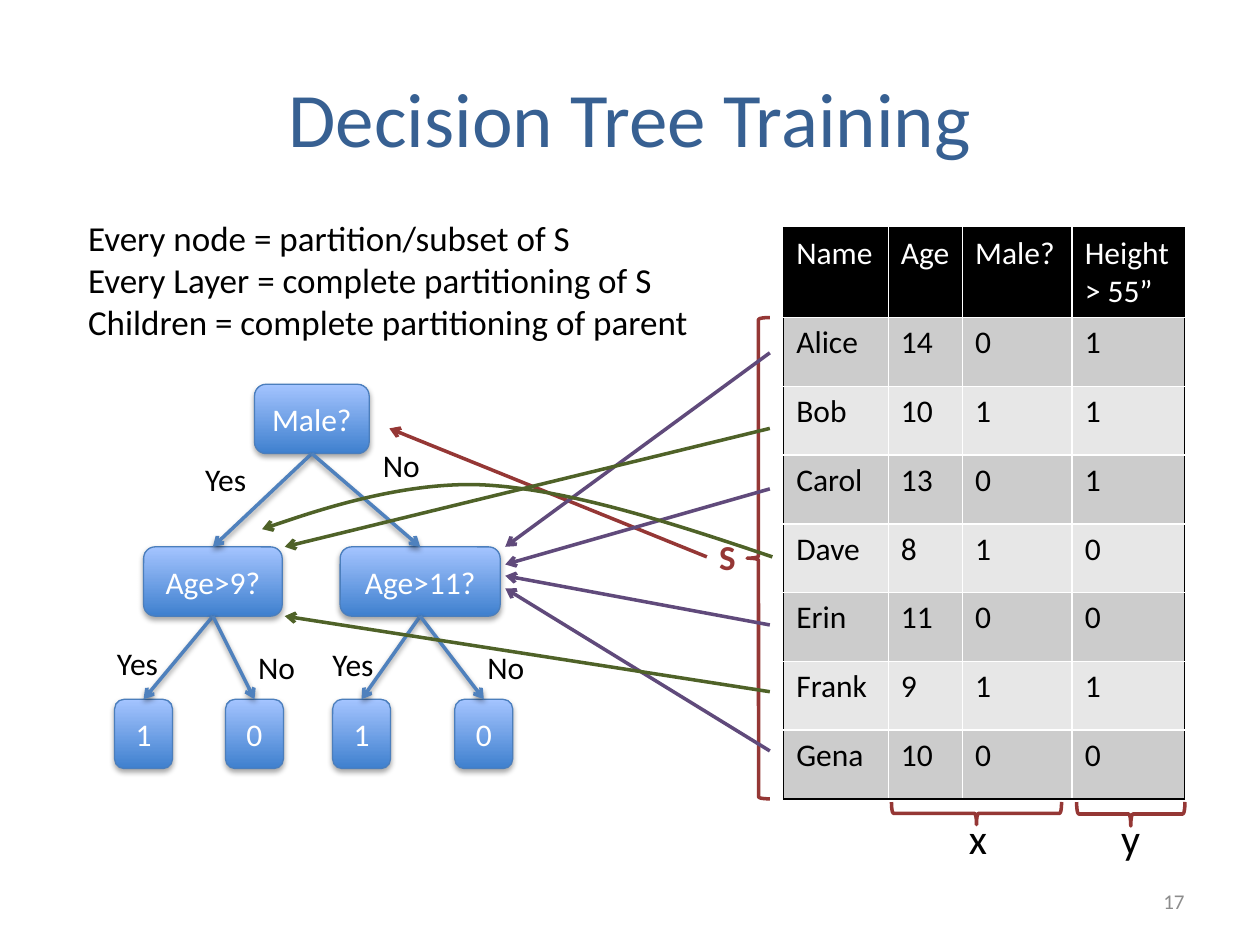
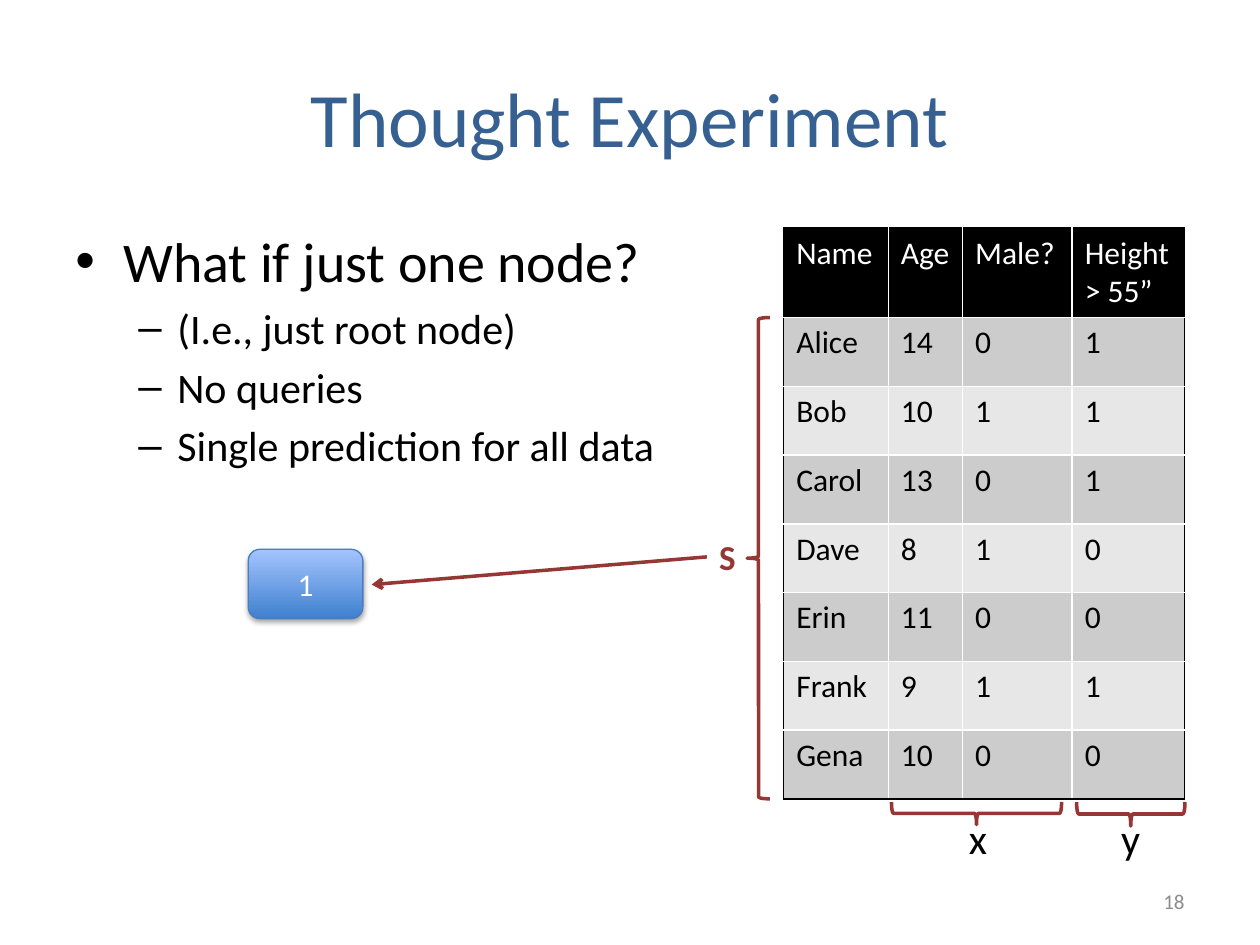
from lxml import etree
from pptx import Presentation
from pptx.dml.color import RGBColor
from pptx.enum.shapes import MSO_CONNECTOR, MSO_SHAPE
from pptx.enum.text import MSO_ANCHOR, MSO_AUTO_SIZE, PP_ALIGN
from pptx.oxml.ns import qn
from pptx.util import Inches, Pt

STRAIGHT = MSO_CONNECTOR.STRAIGHT
ROUNDED, BRACE = MSO_SHAPE.ROUNDED_RECTANGLE, MSO_SHAPE.LEFT_BRACE
TOP, MIDDLE = MSO_ANCHOR.TOP, MSO_ANCHOR.MIDDLE
FIT, FIXED = MSO_AUTO_SIZE.SHAPE_TO_FIT_TEXT, MSO_AUTO_SIZE.NONE
LEFT, CENTER, RIGHT = PP_ALIGN.LEFT, PP_ALIGN.CENTER, PP_ALIGN.RIGHT

BLACK = RGBColor(0x00, 0x00, 0x00)
WHITE = RGBColor(0xFF, 0xFF, 0xFF)
TITLE_BLUE = RGBColor(0x37, 0x60, 0x92)
EDGE_BLUE = RGBColor(0x4F, 0x81, 0xBD)
NODE_LINE = RGBColor(0x4B, 0x7E, 0xBC)
NODE_DARK = RGBColor(0x3F, 0x80, 0xCE)
NODE_LIGHT = RGBColor(0xA4, 0xC4, 0xFF)
RED = RGBColor(0x95, 0x37, 0x35)
PURPLE = RGBColor(0x60, 0x4A, 0x7B)
GREEN = RGBColor(0x4F, 0x62, 0x28)
GREY = RGBColor(0x8C, 0x8C, 0x8C)
BAND_DARK = RGBColor(0xCC, 0xCC, 0xCC)
BAND_LIGHT = RGBColor(0xE7, 0xE7, 0xE7)
FONT = "Calibri"

DATA = [
    ("Name", "Age", "Male?", "Height > 55”"),
    ("Alice", "14", "0", "1"),
    ("Bob", "10", "1", "1"),
    ("Carol", "13", "0", "1"),
    ("Dave", "8", "1", "0"),
    ("Erin", "11", "0", "0"),
    ("Frank", "9", "1", "1"),
    ("Gena", "10", "0", "0"),
]
COLUMN_WIDTHS = (0.83, 0.59, 0.87, 0.89)
TABLE_LEFT, TABLE_TOP, TABLE_HEIGHT, HEADER_HEIGHT = 6.22, 1.81, 4.53, 0.71

BRACES = [
    ((5.93, 2.52, 0.18, 3.82), 0),
    ((7.66, 5.78, 0.18, 1.35), 270),
    ((8.88, 6.03, 0.19, 0.86), 270),
]
BRACE_LABELS = [
    ("S", (5.61, 4.2, 0.33, 0.44), 20, RED, True),
    ("x", (7.59, 6.4, 0.35, 0.5), 24, BLACK, False),
    ("y", (8.8, 6.4, 0.36, 0.5), 24, BLACK, False),
]

FACTS = [
    "Every node = partition/subset of S",
    "Every Layer = complete partitioning of S",
    "Children = complete partitioning of parent",
]
NODE_HEIGHT = 0.55
TREE_NODES = {
    "root": ("Male?", 2.02, 3.05, 0.91),
    "male": ("Age>9?", 1.14, 4.34, 1.1),
    "female": ("Age>11?", 2.7, 4.34, 1.27),
    "male yes": ("1", 0.91, 5.55, 0.46),
    "male no": ("0", 1.79, 5.55, 0.46),
    "female yes": ("1", 2.64, 5.55, 0.46),
    "female no": ("0", 3.61, 5.55, 0.46),
}
TREE_EDGES = [
    ("root", "male", "Yes", 1.53, 3.6),
    ("root", "female", "No", 2.94, 3.49),
    ("male", "male yes", "Yes", 0.83, 5.06),
    ("male", "male no", "No", 1.95, 5.09),
    ("female", "female yes", "Yes", 2.54, 5.07),
    ("female", "female no", "No", 3.77, 5.09),
]
EDGE_LABEL_WIDTHS = {"Yes": 0.55, "No": 0.5}
S_TIP = (5.61, 4.42)
ROW_TIP_X, FEMALE_TIP_X, MALE_TIP_X = 6.11, 4.01, 2.26
ROW_ARROWS = [
    (2.8, FEMALE_TIP_X, 4.34, PURPLE),
    (3.88, FEMALE_TIP_X, 4.48, PURPLE),
    (4.96, FEMALE_TIP_X, 4.57, PURPLE),
    (5.96, FEMALE_TIP_X, 4.67, PURPLE),
    (3.4, MALE_TIP_X, 4.34, GREEN),
    (5.49, MALE_TIP_X, 4.89, GREEN),
]
DAVE_CURVE = [
    (6.13, 4.42),
    (5.33, 4.15), (4.53, 3.89), (3.86, 3.85),
    (3.18, 3.81), (2.08, 4.2), (2.08, 4.2),
]

BULLETS = [
    ("What if just one node?", 0),
    ("(I.e., just root node)", 1),
    ("No queries", 1),
    ("Single prediction for all data", 1),
]
BULLET_STYLES = [("•", 32, 0.38, 0.38), ("–", 24, 0.81, 0.31)]


def add_span(para, text, size, color, bold=False):
    span = para.add_run()
    span.text = text
    span.font.name = FONT
    span.font.size = Pt(size)
    span.font.color.rgb = color
    span.font.bold = bold


def add_text(page, area, lines, size, color, bold=False,
             align=LEFT, anchor=TOP, wrap=False):
    box = page.shapes.add_textbox(*map(Inches, area))
    frame = box.text_frame
    frame.word_wrap = wrap
    frame.auto_size = FIXED if wrap else FIT
    frame.vertical_anchor = anchor
    for index, line in enumerate(lines):
        para = frame.add_paragraph() if index else frame.paragraphs[0]
        para.alignment = align
        add_span(para, line, size, color, bold)


def add_shadow(effects, distance, opacity):
    shadow = etree.SubElement(effects, qn("a:outerShdw"), blurRad="40000",
                              dist=str(distance), dir="5400000", rotWithShape="0")
    color = etree.SubElement(shadow, qn("a:srgbClr"), val=str(BLACK))
    etree.SubElement(color, qn("a:alpha"), val=str(opacity * 1000))


def style_line(shape, color, arrow=False):
    shape.line.color.rgb = color
    shape.line.width = Pt(2)
    if arrow:
        etree.SubElement(shape.line._get_or_add_ln(), qn("a:tailEnd"), type="arrow")


def add_arrow(page, start, end, color, shadowed=False):
    arrow = page.shapes.add_connector(STRAIGHT, *map(Inches, (*start, *end)))
    style_line(arrow, color, arrow=True)
    effects = etree.SubElement(arrow._element.spPr, qn("a:effectLst"))
    if shadowed:
        add_shadow(effects, 20000, 38)


def add_node(page, text, left, top, width):
    node = page.shapes.add_shape(ROUNDED, *map(Inches, (left, top, width, NODE_HEIGHT)))
    node.fill.gradient()
    node.fill.gradient_angle = 90
    for stop, color in zip(node.fill.gradient_stops, (NODE_DARK, NODE_LIGHT)):
        stop.color.rgb = color
    node.line.color.rgb = NODE_LINE
    node.line.width = Pt(0.75)
    node.shadow.inherit = False
    add_shadow(node._element.spPr.find(qn("a:effectLst")), 23000, 35)
    node.text_frame.vertical_anchor = MIDDLE
    para = node.text_frame.paragraphs[0]
    para.alignment = CENTER
    add_span(para, text, 18, WHITE)


def add_border(cell, side, color):
    border = etree.SubElement(cell._tc.get_or_add_tcPr(), qn("a:ln" + side),
                              w=str(Pt(1)))
    fill = etree.SubElement(border, qn("a:solidFill"))
    etree.SubElement(fill, qn("a:srgbClr"), val=str(color))


def add_data_table(page):
    last_row, last_column = len(DATA) - 1, len(COLUMN_WIDTHS) - 1
    row_height = (TABLE_HEIGHT - HEADER_HEIGHT) / last_row
    area = (TABLE_LEFT, TABLE_TOP, sum(COLUMN_WIDTHS), TABLE_HEIGHT)
    table = page.shapes.add_table(len(DATA), len(COLUMN_WIDTHS),
                                  *map(Inches, area)).table
    for column, width in zip(table.columns, COLUMN_WIDTHS):
        column.width = Inches(width)
    for r, row in enumerate(DATA):
        table.rows[r].height = Inches(row_height if r else HEADER_HEIGHT)
        for c, value in enumerate(row):
            cell = table.cell(r, c)
            outer = {"L": c == 0, "R": c == last_column, "T": r == 0, "B": r == last_row}
            for side, is_outer in outer.items():
                add_border(cell, side, BLACK if is_outer else WHITE)
            cell.fill.solid()
            band = BAND_DARK if r % 2 else BAND_LIGHT
            cell.fill.fore_color.rgb = band if r else BLACK
            add_span(cell.text_frame.paragraphs[0], value, 18, BLACK if r else WHITE)


def add_page(deck, title, number):
    page = deck.slides.add_slide(deck.slide_layouts[6])
    add_text(page, (0.5, 0.3, 9, 1.25), [title], 44, TITLE_BLUE,
             align=CENTER, anchor=MIDDLE, wrap=True)
    add_text(page, (7.17, 6.95, 2.33, 0.4), [str(number)], 12, GREY,
             align=RIGHT, anchor=MIDDLE, wrap=True)
    add_data_table(page)
    for area, angle in BRACES:
        brace = page.shapes.add_shape(BRACE, *map(Inches, area))
        brace.rotation = angle
        brace.fill.background()
        brace.shadow.inherit = False
        style_line(brace, RED)
    for text, area, size, color, bold in BRACE_LABELS:
        add_text(page, area, [text], size, color, bold)
    return page


def add_curve(page, points, color):
    start, *rest = [(Inches(x), Inches(y)) for x, y in points]
    builder = page.shapes.build_freeform(*start)
    builder.add_line_segments(rest, close=False)
    curve = builder.convert_to_shape()
    segments = list(curve._element.iter(qn("a:lnTo")))
    outline = segments[0].getparent()
    for first in range(0, len(segments), 3):
        bezier = etree.SubElement(outline, qn("a:cubicBezTo"))
        for segment in segments[first:first + 3]:
            bezier.append(segment[0])
            outline.remove(segment)
    curve.fill.background()
    curve.shadow.inherit = False
    style_line(curve, color, arrow=True)


def add_tree(page):
    for node in TREE_NODES.values():
        add_node(page, *node)
    for parent, child, label, left, top in TREE_EDGES:
        _, parent_left, parent_top, parent_width = TREE_NODES[parent]
        _, child_left, child_top, child_width = TREE_NODES[child]
        start = (parent_left + parent_width / 2, parent_top + NODE_HEIGHT)
        end = (child_left + child_width / 2, child_top)
        add_arrow(page, start, end, EDGE_BLUE, shadowed=True)
        add_text(page, (left, top, EDGE_LABEL_WIDTHS[label], 0.4), [label], 18, BLACK)


def add_bullets(page):
    box = page.shapes.add_textbox(*map(Inches, (0.5, 1.75, 9, 4.95)))
    frame = box.text_frame
    frame.word_wrap = True
    for index, (text, level) in enumerate(BULLETS):
        mark, size, margin, hanging = BULLET_STYLES[level]
        para = frame.add_paragraph() if index else frame.paragraphs[0]
        para.level = level
        properties = para._p.get_or_add_pPr()
        properties.set("marL", str(Inches(margin)))
        properties.set("indent", str(-Inches(hanging)))
        etree.SubElement(properties, qn("a:buFont"), typeface="Arial")
        etree.SubElement(properties, qn("a:buChar"), char=mark)
        if index:
            para.space_before = Pt(4.8)
        add_span(para, text, size, BLACK)


def main():
    deck = Presentation()
    deck.slide_width, deck.slide_height = Inches(10), Inches(7.5)

    training = add_page(deck, "Decision Tree Training", 17)
    add_text(training, (0.6, 1.67, 5.02, 1.11), FACTS, 20, BLACK)
    add_tree(training)
    add_arrow(training, S_TIP, (3.09, 3.4), RED)
    for row_y, tip_x, tip_y, color in ROW_ARROWS:
        add_arrow(training, (ROW_TIP_X, row_y), (tip_x, tip_y), color)
    add_curve(training, DAVE_CURVE, GREEN)

    experiment = add_page(deck, "Thought Experiment", 18)
    add_bullets(experiment)
    add_node(experiment, "1", 1.97, 4.36, 0.91)
    add_arrow(experiment, S_TIP, (2.95, 4.64), RED)

    deck.save("out.pptx")


if __name__ == "__main__":
    main()
